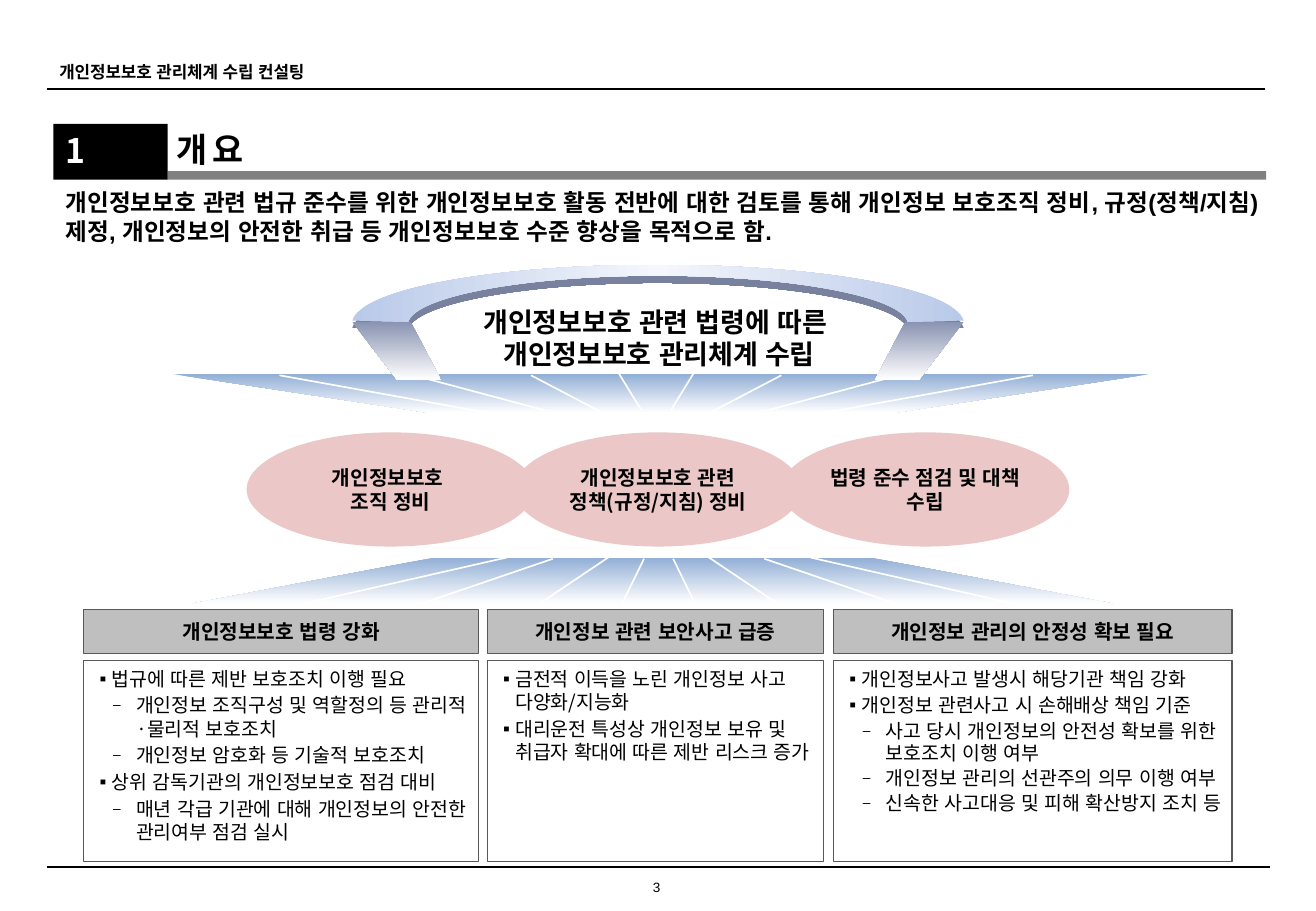
import lxml.etree
import pptx
import pptx.dml.color
import pptx.enum.shapes
import pptx.enum.text
import pptx.oxml
import pptx.oxml.ns
import pptx.util

PX = 9144  # 100 px to the inch
RGB = pptx.dml.color.RGBColor
BLACK = RGB(0x00, 0x00, 0x00)
WHITE = RGB(0xFF, 0xFF, 0xFF)
RULE_GRAY = RGB(0x80, 0x80, 0x80)
HEAD_GRAY = RGB(0xBF, 0xBF, 0xBF)
BORDER_GRAY = RGB(0x59, 0x59, 0x59)
PINK = RGB(0xEB, 0xC8, 0xC7)
FAN_BLUE = RGB(0x92, 0xAF, 0xD6)
ARCH_BLUE = RGB(0xB9, 0xC9, 0xE9)
ARCH_LIGHT = RGB(0xF4, 0xF7, 0xFC)
ARCH_SHADE = RGB(0x78, 0x82, 0x9F)
LEG_BLUE = RGB(0x8A, 0x94, 0xB2)
KOREAN = "Noto Sans CJK KR"
SHAPES = pptx.enum.shapes.MSO_SHAPE
ANCHOR = pptx.enum.text.MSO_ANCHOR
CENTER = pptx.enum.text.PP_ALIGN.CENTER
LEFT = pptx.enum.text.PP_ALIGN.LEFT
qn = pptx.oxml.ns.qn


def px(*lengths):
    return [pptx.util.Emu(round(length * PX)) for length in lengths]


def set_font(paragraph, size, bold, color, name):
    font = paragraph.font
    font.size, font.bold, font.name = pptx.util.Pt(size), bold, name
    font.color.rgb = color
    defaults = paragraph._p.pPr.find(qn("a:defRPr"))
    defaults.set("lang", "ko-KR")
    latin = defaults.find(qn("a:latin"))
    # Arial gives the word gaps their width
    latin.addnext(latin.makeelement(qn("a:ea"), {"typeface": "Arial"}))
    for run in paragraph.runs:
        run.font._element.set("lang", "ko-KR")


def write(shape, lines, size, bold=True, color=BLACK, name=KOREAN, align=None,
          insets=(4, 5, 4, 5), anchor=ANCHOR.MIDDLE):
    frame = shape.text_frame
    frame.word_wrap = True
    frame.vertical_anchor = anchor
    (frame.margin_left, frame.margin_top,
     frame.margin_right, frame.margin_bottom) = px(*insets)
    frame.text = "\n".join(lines)
    for paragraph in frame.paragraphs:
        paragraph.alignment = align
        set_font(paragraph, size, bold, color, name)
    return frame


def add_block(slide, kind, box, fill=None, border=None):
    block = slide.shapes.add_shape(kind, *px(*box))
    block.shadow.inherit = False
    if fill is None:
        block.fill.background()
    else:
        block.fill.solid()
        block.fill.fore_color.rgb = fill
    if border is None:
        block.line.fill.background()
    else:
        block.line.color.rgb = border
        block.line.width = pptx.util.Pt(0.75)
    return block


def add_line(slide, start, end, color=BLACK, width=1):
    line = slide.shapes.add_connector(
        pptx.enum.shapes.MSO_CONNECTOR.STRAIGHT, *px(*start, *end))
    line.line.color.rgb = color
    line.line.width = pptx.util.Pt(width)
    lxml.etree.SubElement(line._element.spPr, qn("a:effectLst"))


def add_outline(slide, points, colors, angle=90, curve_starts=()):
    """Closed outline with even gradient stops; each curve start bends three points."""
    builder = slide.shapes.build_freeform(*points[0], scale=PX)
    builder.add_line_segments(points[1:], close=True)
    outline = builder.convert_to_shape()
    outline.shadow.inherit = False
    outline.line.fill.background()
    outline.fill.background()
    properties = outline._element.spPr
    segments = list(properties.iter(qn("a:lnTo")))
    for start in curve_starts:
        first = segments[start]
        bend = first.makeelement(qn("a:cubicBezTo"), {})
        first.addprevious(bend)
        for segment in segments[start:start + 3]:
            bend.append(segment[0])
            segment.getparent().remove(segment)
    stops = "".join(
        f'<a:gs pos="{i * 100000 // (len(colors) - 1)}"><a:srgbClr val="{c}"/></a:gs>'
        for i, c in enumerate(colors))
    gradient = pptx.oxml.parse_xml(
        f'<a:gradFill {pptx.oxml.ns.nsdecls("a")} rotWithShape="1"><a:gsLst>{stops}'
        f'</a:gsLst><a:lin ang="{angle * 60000}" scaled="0"/></a:gradFill>')
    properties.replace(properties.find(qn("a:noFill")), gradient)
    return outline


def header(slide, box):
    x, y, w, h = box
    running = slide.shapes.add_textbox(*px(x, y, 300, h))
    write(running, ["개인정보보호 관리체계 수립 컨설팅"], 10,
          insets=(10, 5, 10, 5), anchor=ANCHOR.TOP)
    add_line(slide, (x, y + h), (x + w, y + h), width=1.25)


def title(slide, box):
    x, y, w, h = box
    add_block(slide, SHAPES.RECTANGLE, (x + 94, y + 39, w - 94, 7), RULE_GRAY)
    number = add_block(slide, SHAPES.RECTANGLE, (x, y, 94, h), BLACK)
    write(number, ["1"], 20, color=WHITE, insets=(10, 5, 10, 5),
          align=LEFT, anchor=ANCHOR.TOP)
    name = slide.shapes.add_textbox(*px(x + 94, y + 2, 548, 37))
    frame = write(name, ["개 요"], 20, insets=(7, 5, 10, 5))
    frame.paragraphs[0].runs[0].font._element.set("spc", "-120")


def summary(slide, box):
    purpose = slide.shapes.add_textbox(*px(*box))
    write(purpose, ["개인정보보호 관련 법규 준수를 위한 개인정보보호 활동 전반에 대한 검토를 통해 "
                    "개인정보 보호조직 정비, 규정(정책/지침) 제정, 개인정보의 안전한 취급 등 "
                    "개인정보보호 수준 향상을 목적으로 함."],
          14, name="Arial", insets=(10, 5, 10, 5), anchor=ANCHOR.TOP)


def fan(slide, box, top_inset, bottom_inset, axis, rays):
    """Trapezoid fading downwards, with rays mirrored about the axis."""
    x, y, w, h = box
    add_outline(slide, [(x + top_inset, y), (x + w - top_inset, y),
                        (x + w - bottom_inset, y + h), (x + bottom_inset, y + h)],
                (FAN_BLUE, WHITE))
    for dx1, y1, dx2, y2 in rays:
        for side in (-1, 1):
            add_line(slide, (axis + side * dx1, y + y1),
                     (axis + side * dx2, y + y2), WHITE)


def arch(slide, box):
    x, y, w, h = box

    def bow(*left_half):
        """Half curve to the crown, then its mirror image."""
        mirrored = [(w - bx, by) for bx, by in left_half[-2::-1]]
        return [(x + bx, y + by) for bx, by in (*left_half, *mirrored)]

    outer = bow((0, 48), (7, 22), (117, 2), (w // 2, 2))
    inner = bow((46, 49), (52, 28), (142, 11), (w // 2, 11))
    band = add_outline(slide, inner + outer[::-1], (ARCH_BLUE, ARCH_LIGHT, ARCH_BLUE),
                       0, curve_starts=(0, 3, 7, 10))
    band._element.spPr.find(qn("a:effectLst")).append(pptx.oxml.parse_xml(
        f'<a:outerShdw {pptx.oxml.ns.nsdecls("a")} blurRad="0" dist="{6 * PX}" '
        f'dir="5400000" rotWithShape="0"><a:srgbClr val="{ARCH_SHADE}"/></a:outerShdw>'))
    leg = [(0, 49), (37, h), (73, h), (48, 49)]
    add_outline(slide, [(x + lx, y + ly) for lx, ly in leg], (LEG_BLUE, WHITE))
    add_outline(slide, [(x + w - lx, y + ly) for lx, ly in leg], (LEG_BLUE, WHITE))
    goal = slide.shapes.add_textbox(*px(x + 69, y + 11, 367, 102))
    write(goal, ["개인정보보호 관련 법령에 따른 ", "개인정보보호 관리체계 수립"], 16, align=CENTER)


def measures(slide, box):
    x, y, w, h = box
    labels = (["개인정보보호 ", "조직 정비"],
              ["개인정보보호 관련", "정책(규정/지침) 정비"],
              ["법령 준수 점검 및 대책 수립"])
    for i, lines in enumerate(labels):
        oval = add_block(slide, SHAPES.OVAL, (x + i * 220, y, w, h), PINK)
        write(oval, lines, 12, align=CENTER, insets=(4, 4, 4, 4))


def panel(slide, box, heading, items, sub_spacing=None):
    x, y, w, h = box
    head = add_block(slide, SHAPES.RECTANGLE, (x, y, w, 36), HEAD_GRAY, BORDER_GRAY)
    write(head, [heading], 12, align=CENTER)
    body = add_block(slide, SHAPES.RECTANGLE, (x, y + 42, w, h - 42),
                     border=BORDER_GRAY)
    frame = write(body, [text for _, text in items], 11.5, bold=False,
                  align=LEFT, anchor=ANCHOR.TOP)
    for paragraph, (level, _) in zip(frame.paragraphs, items):
        paragraph.level = level
        paragraph.space_after = pptx.util.Pt(2)
        if level and sub_spacing:
            paragraph.line_spacing = pptx.util.Pt(sub_spacing)
        margin, indent = px(*((39, -19) if level else (19, -10)))
        properties = paragraph._p.pPr
        properties.set("marL", str(margin))
        properties.set("indent", str(indent))
        bullet = [("a:buFont", {"typeface": "Arial"}),
                  ("a:buChar", {"char": "–" if level else "▪"})]
        if level:
            bullet.insert(0, ("a:buSzPct", {"val": "70000"}))
        defaults = properties.find(qn("a:defRPr"))
        for tag, values in bullet:
            defaults.addprevious(properties.makeelement(qn(tag), values))


def footer(slide, box):
    x, y, w, h = box
    add_line(slide, (x, y), (x + w, y))
    page = slide.shapes.add_textbox(*px(x + 485, y + 9, 33, h - 9))
    write(page, ["3"], 8, bold=False, name="Arial", align=CENTER, insets=(0, 0, 0, 0))


def main():
    deck = pptx.Presentation()
    deck.slide_width, deck.slide_height = px(1083, 750)
    slide = deck.slides.add_slide(deck.slide_layouts[6])

    header(slide, (39, 46, 1002, 27))
    title(slide, (44, 102, 998, 46))
    fan(slide, (143, 308, 803, 32), 0, 211, 540,
        [(91, 30, 207, -1), (42, 33, 103, 1), (12, 30, 31, -1), (310, 1, 132, 33)])
    summary(slide, (44, 150, 1023, 67))
    arch(slide, (290, 216, 503, 97))
    fan(slide, (158, 459, 758, 38), 200, 0, 542,
        [(87, 1, 195, 38), (40, -1, 98, 38), (12, 1, 30, 38), (292, 38, 125, 0)])
    measures(slide, (203, 356, 237, 94))
    panel(slide, (69, 502, 325, 207), "개인정보보호 법령 강화", [
        (0, "법규에 따른 제반 보호조치 이행 필요"),
        (1, "개인정보 조직구성 및 역할정의 등 관리적·물리적 보호조치"),
        (1, "개인정보 암호화 등 기술적 보호조치"),
        (0, "상위 감독기관의 개인정보보호 점검 대비"),
        (1, "매년 각급 기관에 대해 개인정보의 안전한 관리여부 점검 실시")])
    panel(slide, (401, 502, 277, 207), "개인정보 관련 보안사고 급증", [
        (0, "금전적 이득을 노린 개인정보 사고 다양화/지능화"),
        (0, "대리운전 특성상 개인정보 보유 및 취급자 확대에 따른 제반 리스크 증가")])
    panel(slide, (686, 502, 328, 207), "개인정보 관리의 안정성 확보 필요", [
        (0, "개인정보사고 발생시 해당기관 책임 강화"),
        (0, "개인정보 관련사고 시 손해배상 책임 기준"),
        (1, "사고 당시 개인정보의 안전성 확보를 위한 보호조치 이행 여부"),
        (1, "개인정보 관리의 선관주의 의무 이행 여부"),
        (1, "신속한 사고대응 및 피해 확산방지 조치 등")], sub_spacing=13)
    footer(slide, (39, 714, 1006, 23))
    deck.save("out.pptx")


if __name__ == "__main__":
    main()
